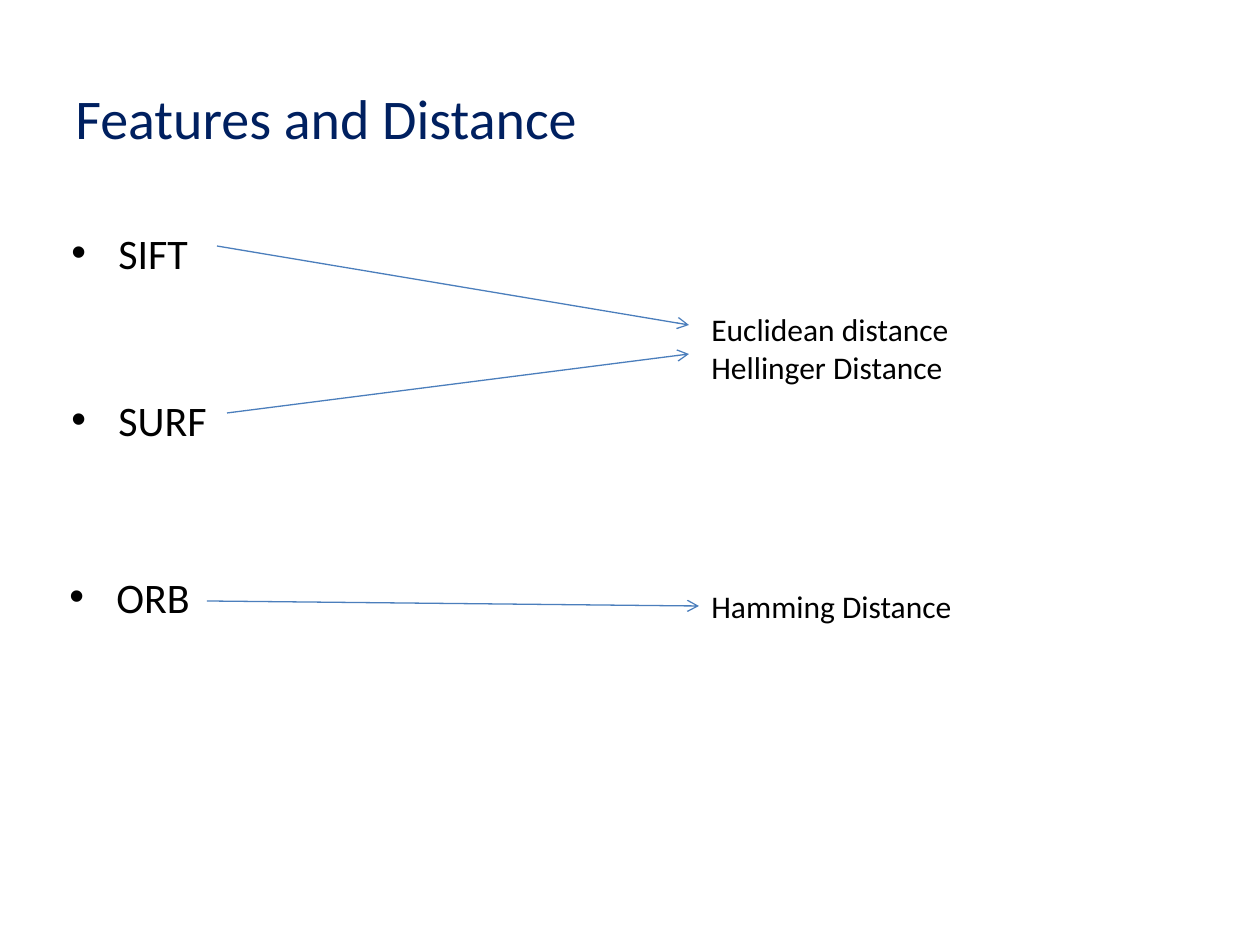
from dataclasses import dataclass

from pptx import Presentation
from pptx.dml.color import RGBColor
from pptx.enum.shapes import MSO_CONNECTOR
from pptx.enum.text import MSO_ANCHOR, MSO_AUTO_SIZE
from pptx.oxml.ns import qn
from pptx.util import Pt
from lxml.etree import SubElement

EMU_PER_PX = 914400 / 126


@dataclass(frozen=True)
class Theme:
    font: str = "Calibri"
    title_color: str = "002060"
    text_color: str = "000000"
    arrow_color: str = "4B7EBC"
    title_size: int = 32
    feature_size: int = 24
    distance_size: int = 18
    arrow_width: float = 0.75


THEME = Theme()


def px(*lengths):
    return [round(length * EMU_PER_PX) for length in lengths]


def add_bullet(paragraph, indent):
    properties = paragraph._p.get_or_add_pPr()
    properties.set("marL", str(indent))
    properties.set("indent", str(-indent))
    SubElement(properties, qn("a:buFont"), typeface="Arial")
    SubElement(properties, qn("a:buChar"), char="•")


def add_text(slide, box, lines, size, color, bullet_indent=None, **frame_format):
    frame = slide.shapes.add_textbox(*px(*box)).text_frame
    for name, value in ({"word_wrap": True} | frame_format).items():
        setattr(frame, name, value)
    for index, line in enumerate(lines):
        paragraph = frame.add_paragraph() if index else frame.paragraphs[0]
        if bullet_indent:
            add_bullet(paragraph, *px(bullet_indent))
        run = paragraph.add_run()
        run.text = line
        font_format = {"name": THEME.font, "size": Pt(size)}
        for name, value in font_format.items():
            setattr(run.font, name, value)
        run.font.color.rgb = RGBColor.from_string(color)


def add_arrow(slide, start, end):
    arrow = slide.shapes.add_connector(MSO_CONNECTOR.STRAIGHT, *px(*start, *end))
    arrow.line.color.rgb = RGBColor.from_string(THEME.arrow_color)
    arrow.line.width = Pt(THEME.arrow_width)
    SubElement(arrow.line._get_or_add_ln(), qn("a:tailEnd"), type="arrow")
    SubElement(arrow._element.spPr, qn("a:effectLst"))


def add_title(slide, box, text):
    add_text(slide, box, [text], THEME.title_size, THEME.title_color,
             vertical_anchor=MSO_ANCHOR.MIDDLE)


def add_feature(slide, box, name, arrow_start, arrow_end):
    """Place a bulleted feature and its arrow, given as offsets from the box corner."""
    left, top = box[:2]
    add_text(slide, box, [name], THEME.feature_size, THEME.text_color, bullet_indent=47)
    add_arrow(slide, *[(left + x, top + y) for x, y in (arrow_start, arrow_end)])


def add_distances(slide, box, names):
    add_text(slide, box, names, THEME.distance_size, THEME.text_color,
             word_wrap=False, auto_size=MSO_AUTO_SIZE.SHAPE_TO_FIT_TEXT)


def main():
    presentation = Presentation()
    presentation.slide_width, presentation.slide_height = px(1260, 945)
    slide = presentation.slides.add_slide(presentation.slide_layouts[6])

    add_title(slide, (63, 38, 1134, 158), "Features and Distance")
    features = [
        ("SIFT", 59, 221, (158, 25), (630, 104)),
        ("SURF", 59, 388, (168, 25), (630, -34)),
        ("ORB", 57, 565, (150, 36), (642, 41)),
    ]
    for name, left, top, arrow_start, arrow_end in features:
        add_feature(slide, (left, top, 1134, 74), name, arrow_start, arrow_end)
    add_distances(slide, (699, 304, 266, 89), ["Euclidean distance", "Hellinger Distance"])
    add_distances(slide, (699, 581, 268, 50), ["Hamming Distance"])

    presentation.save("out.pptx")


if __name__ == "__main__":
    main()
